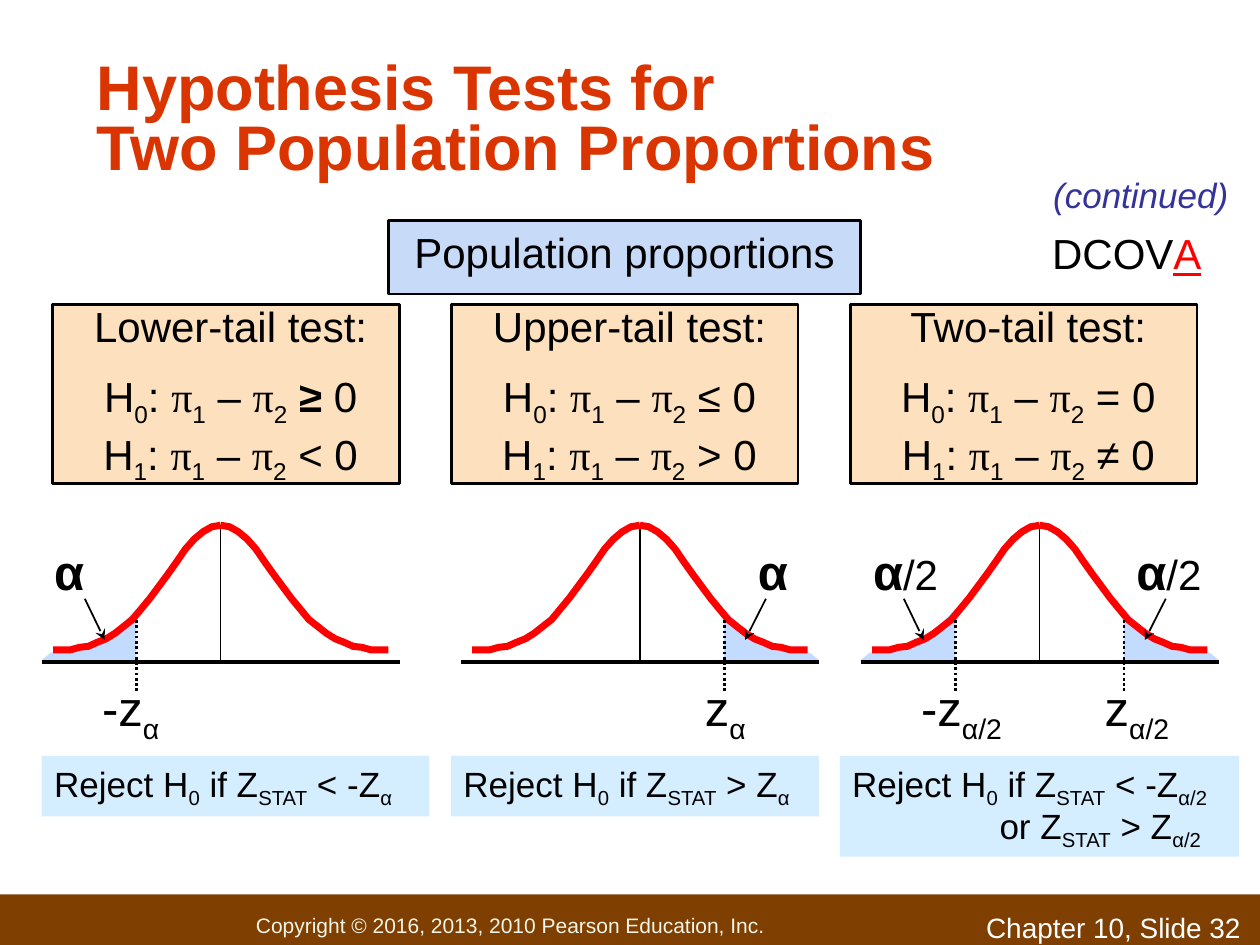
from lxml import etree
from pptx import Presentation
from pptx.dml.color import RGBColor
from pptx.enum.dml import MSO_LINE
from pptx.enum.shapes import MSO_CONNECTOR, MSO_SHAPE
from pptx.enum.text import MSO_ANCHOR, PP_ALIGN
from pptx.oxml.ns import qn
from pptx.util import Cm, Pt

RECTANGLE = MSO_SHAPE.RECTANGLE
STRAIGHT = MSO_CONNECTOR.STRAIGHT
DOTTED = MSO_LINE.ROUND_DOT
LEFT, CENTER = PP_ALIGN.LEFT, PP_ALIGN.CENTER
TOP, MIDDLE, BOTTOM = MSO_ANCHOR.TOP, MSO_ANCHOR.MIDDLE, MSO_ANCHOR.BOTTOM
color = RGBColor.from_string

presentation = Presentation()
presentation.slide_width = Cm(25.4)
presentation.slide_height = Cm(19.05)
slide = presentation.slides.add_slide(presentation.slide_layouts[6])
shapes = slide.shapes


def add_box(left, top, width, height, paragraphs, size=24, text_color="000000",
            fill=None, outline=None, align=LEFT):
    area = Cm(left), Cm(top), Cm(width), Cm(height)
    if fill:
        shape = shapes.add_shape(RECTANGLE, *area)
        shape.shadow.inherit = False
        shape.fill.solid()
        shape.fill.fore_color.rgb = color(fill)
        if outline:
            shape.line.color.rgb = color(outline)
            shape.line.width = Pt(1.5)
        else:
            shape.line.fill.background()
    else:
        shape = shapes.add_textbox(*area)
    frame = shape.text_frame
    frame.word_wrap = True
    frame.vertical_anchor = TOP
    for index, runs in enumerate(paragraphs):
        paragraph = frame.add_paragraph() if index else frame.paragraphs[0]
        paragraph.alignment = align
        for text, style in runs:
            if text == "\n":
                paragraph.add_line_break()
                continue
            run = paragraph.add_run()
            run.text = text
            run.font.name = "Times New Roman" if style == "serif" else "Arial"
            run.font.size = Pt(size)
            run.font.color.rgb = color(text_color)
            run.font.bold = style == "bold"
            run.font.italic = style == "italic"
            if style == "sub":
                run.font._element.set("baseline", "-25000")
    return shape


def add_line(start_x, start_y, end_x, end_y, width, dash=None, arrow=False):
    connector = shapes.add_connector(STRAIGHT, Cm(start_x), Cm(start_y), Cm(end_x), Cm(end_y))
    connector.line.color.rgb = color("000000")
    connector.line.width = Pt(width)
    if dash:
        connector.line.dash_style = dash
    if arrow:
        etree.SubElement(connector.line._get_or_add_ln(), qn("a:tailEnd"), type="stealth")
    etree.SubElement(connector._element.spPr, qn("a:effectLst"))


footer = add_box(0, 18.03, 25.4, 1.02,
                 [[("Copyright © 2016, 2013, 2010 Pearson Education, Inc.", "")]],
                 12, "F3F5E7", fill="7E3F00")
footer.text_frame.margin_left = Cm(5.16)
footer.text_frame.margin_top = Cm(0.35)
footer.text_frame.vertical_anchor = MIDDLE
add_box(19.63, 18.24, 5.77, 0.66, [[("Chapter 10, Slide 32", "")]], 16, "FFFFFF")

title = add_box(1.7, 1.06, 20.52, 2.75,
                [[("Hypothesis Tests for", "bold"), ("\n", ""),
                  ("Two Population Proportions", "bold")]], 36, "DA3400")
title.text_frame.vertical_anchor = BOTTOM
title.text_frame.paragraphs[0].line_spacing = 0.8

continued = add_box(20.98, 3.38, 4.04, 1.12, [[("(continued)", "italic")]], 20, "333399")
continued.text_frame.word_wrap = False
steps = add_box(20.96, 4.47, 4.01, 1.27, [[("DCOV", ""), ("A", "")]])
current_step = steps.text_frame.paragraphs[0].runs[1]
current_step.font.color.rgb = color("FF0000")
current_step.font.underline = True

add_box(7.83, 4.45, 9.52, 1.48, [], fill="C7DAF7", outline="000000")
add_box(7.83, 4.45, 9.52, 1.27, [[("Population proportions", "")]], align=CENTER)

tests = [
    ("Lower-tail test:", "≥", "<"),
    ("Upper-tail test:", "≤", ">"),
    ("Two-tail test:", "=", "≠"),
]
for column, (heading, null_sign, alternative_sign) in enumerate(tests):
    paragraphs = [[(heading, "")]]
    for number, sign in (("0", null_sign), ("1", alternative_sign)):
        paragraphs.append([
            ("H", ""), (number, "sub"), (": ", ""), ("π", "serif"), ("1", "sub"),
            (" – ", ""), ("π", "serif"), ("2", "sub"), (" ", ""),
            (sign, "bold" if sign == "≥" else ""), (" 0", ""),
        ])
    add_box(1.06 + 8.04 * column, 6.14, 6.99, 3.61, [], fill="FDE0BD", outline="000000")
    test = add_box(0.84 + 8.04 * column, 5.93, 7.62, 4.01, paragraphs, align=CENTER)
    test.text_frame.paragraphs[1].space_before = Pt(11.5)

curve_steps = [19, 17, 16, 15, 14, 13, 12, 10, 8, 6, 5, 4, 3, 2, 1, 0]
curve_drops = [2.51, 2.51, 2.46, 2.44, 2.36, 2.29, 2.18, 1.9,
               1.47, 0.99, 0.74, 0.48, 0.28, 0.13, 0.03, 0]
curve = [(3.38 * step / 19, 10.59 + drop) for step, drop in zip(curve_steps, curve_drops)]
tail = [(3.61, 13.31), (3.43, 13.16), (2.79, 13.03), (2.46, 12.93),
        (2.08, 12.67), (1.7, 12.27), (1.7, 13.34), (3.61, 13.34)]

distributions = [(4.45, [-1], ""), (12.9, [1], ""), (20.96, [-1, 1], "/2")]
for center, tail_sides, share in distributions:
    add_line(center, 10.59, center, 13.34, 0.75)
    outlines = [(side, tail, True) for side in tail_sides]
    outlines += [(side, curve, False) for side in (-1, 1)]
    for side, offsets, closed in outlines:
        points = [(Cm(center + side * offset), Cm(y)) for offset, y in offsets]
        builder = shapes.build_freeform(*points[0])
        builder.add_line_segments(points[1:], close=closed)
        shape = builder.convert_to_shape()
        shape.shadow.inherit = False
        if closed:
            shape.fill.solid()
            shape.fill.fore_color.rgb = color("C3DBFF")
            shape.line.fill.background()
        else:
            shape.fill.background()
            shape.line.color.rgb = color("FF0000")
            shape.line.width = Pt(4)
    add_line(center - 3.61, 13.34, center + 3.61, 13.34, 2)

    for side in tail_sides:
        if side < 0:
            alpha_left, z_left, arrow_start, arrow_end = -3.61, -2.64, -2.74, -2.34
        else:
            alpha_left, z_left, arrow_start, arrow_end = 2.13, 1.06, 2.54, 2.12
            if share:
                alpha_left = 1.7
        runs = [("α", "bold")] + ([(share, "")] if share else [])
        alpha = add_box(center + alpha_left, 10.8, 2.34 if share else 1.07, 1.42, [runs], 28)
        for run in alpha.text_frame.paragraphs[0].runs[1:]:
            run.font.size = Pt(24)
        add_line(center + arrow_start, 12.07, center + arrow_end, 12.9, 1, arrow=True)
        add_line(center + side * 1.7, 12.5, center + side * 1.7, 13.97, 1.5, dash=DOTTED)
        critical_value = "-z" if side < 0 else "z"
        add_box(center + z_left, 13.54, 2.74, 1.6,
                [[(critical_value, ""), ("α" + share, "sub")]], 28)

rules = [
    (0.84, 7.82, 1.22, [("Reject H", " < -Z", "α")]),
    (9.09, 7.42, 1.22, [("Reject H", " > Z", "α")]),
    (16.93, 8.05, 2.03, [("Reject H", " < -Z", "α/2"), ("", " > Z", "α/2")]),
]
for left, width, height, conditions in rules:
    paragraphs = []
    for opening, comparison, level in conditions:
        start = [(opening, ""), ("0", "sub"), (" if Z", "")] if opening else [("or Z", "")]
        paragraphs.append(start + [("STAT", "sub"), (comparison, ""), (level, "sub")])
    rule = add_box(left, 15.24, width, height, paragraphs, 20, fill="D5EEFF")
    for paragraph in rule.text_frame.paragraphs[1:]:
        paragraph.line_spacing = Pt(24)
        paragraph._p.get_or_add_pPr().set("marL", str(Cm(2.97)))

presentation.save("out.pptx")
